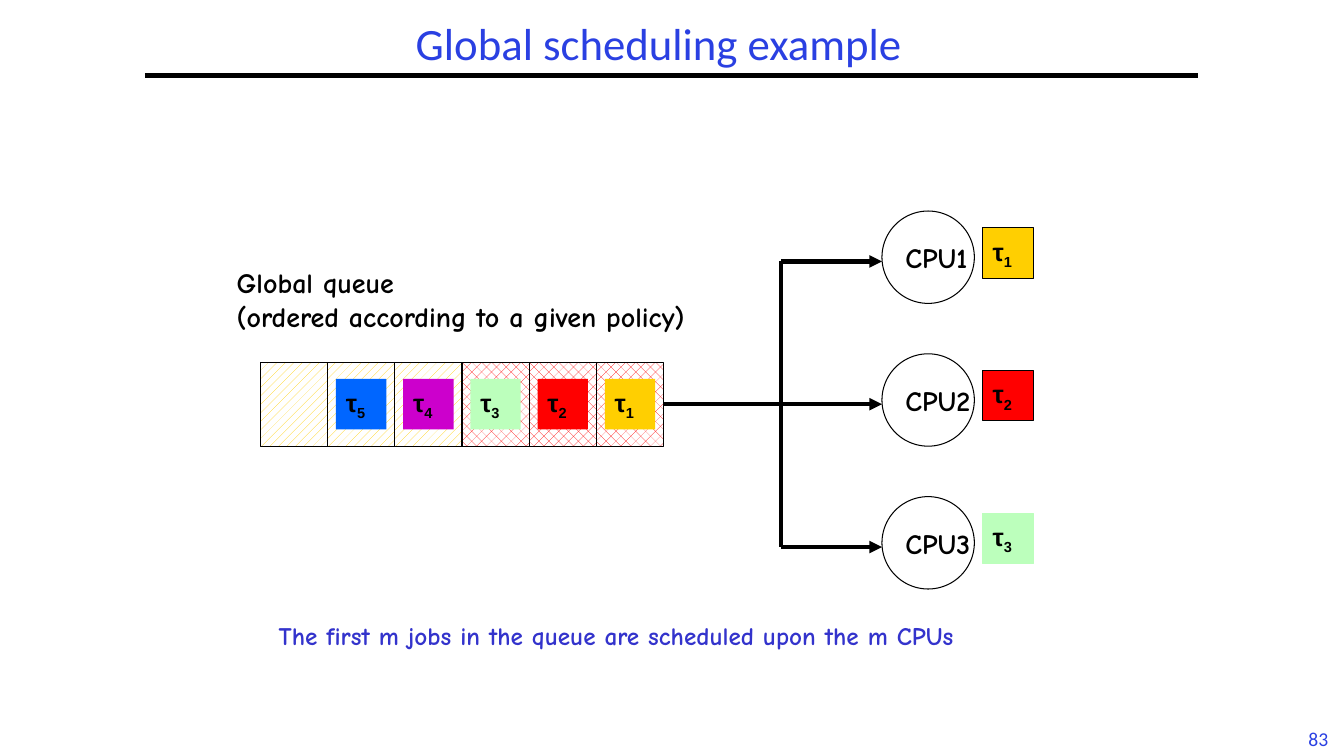
from lxml.etree import SubElement
from pptx import Presentation
from pptx.dml.color import RGBColor
from pptx.enum.dml import MSO_PATTERN
from pptx.enum.shapes import MSO_CONNECTOR, MSO_SHAPE
from pptx.enum.text import MSO_ANCHOR, PP_ALIGN
from pptx.oxml.ns import qn
from pptx.util import Emu, Pt

EMU_PER_PX = 9525
BLACK, WHITE, TITLE_BLUE, NOTE_BLUE = "000000", "FFFFFF", "2A40E2", "3333CC"
RED, YELLOW, GREEN = "FF0000", "FFCF01", "BCFFBC"
TASK_COLORS = {1: YELLOW, 2: RED, 3: GREEN, 4: "CC00CC", 5: "0066FF"}
QUEUE = [None, 5, 4, 3, 2, 1]
CPUS = [("CPU1", 1, BLACK), ("CPU2", 2, BLACK), ("CPU3", 3, GREEN)]
TASK_SIZE = 48


def px(length):
    """Turn pixels into EMU."""
    return Emu(length * EMU_PER_PX)


def color(hex_string):
    """Turn a hex string into a colour."""
    return RGBColor.from_string(hex_string)


def add_run(paragraph, words, font, size, ink, bold=False):
    """Add one formatted run and return it."""
    run = paragraph.add_run()
    run.text = words
    run.font.name = font
    run.font.size = Pt(size)
    run.font.bold = bold
    run.font.color.rgb = color(ink)
    return run


def add_label(slide, box, lines, font, size, ink, bold=False, wrap=True,
              align=PP_ALIGN.LEFT, anchor=MSO_ANCHOR.TOP, spacing=None):
    """Write lines of text in a box, one paragraph each."""
    frame = slide.shapes.add_textbox(*map(px, box)).text_frame
    frame.word_wrap = wrap
    frame.vertical_anchor = anchor
    for index, words in enumerate(lines):
        paragraph = frame.add_paragraph() if index else frame.paragraphs[0]
        paragraph.alignment = align
        paragraph.line_spacing = spacing
        add_run(paragraph, words, font, size, ink, bold)


def add_block(slide, preset, box, fill, edge=None):
    """Draw a filled shape with an optional thin edge."""
    block = slide.shapes.add_shape(preset, *map(px, box))
    block.shadow.inherit = False
    block.fill.solid()
    block.fill.fore_color.rgb = color(fill)
    if edge:
        block.line.color.rgb = color(edge)
        block.line.width = Pt(0.75)
    else:
        block.line.fill.background()
    return block


def inner_paragraph(block):
    """Return the left-aligned, vertically centred paragraph of a shape."""
    frame = block.text_frame
    frame.word_wrap = False
    frame.vertical_anchor = MSO_ANCHOR.MIDDLE
    paragraph = frame.paragraphs[0]
    paragraph.alignment = PP_ALIGN.LEFT
    return paragraph


def add_line(slide, start, end, arrow=False):
    """Draw a thick black line, with an arrowhead at its end if asked."""
    line = slide.shapes.add_connector(MSO_CONNECTOR.STRAIGHT, *map(px, start + end))
    line.line.color.rgb = color(BLACK)
    line.line.width = Pt(3)
    if arrow:
        SubElement(line.line._get_or_add_ln(), qn("a:tailEnd"), type="triangle")
    SubElement(line._element.spPr, qn("a:effectLst"))


def add_task(slide, left, top, number, edge=None):
    """Draw the square of a task with its subscripted name."""
    square = add_block(slide, MSO_SHAPE.RECTANGLE, (left, top, TASK_SIZE, TASK_SIZE),
                       TASK_COLORS[number], edge)
    paragraph = inner_paragraph(square)
    paragraph.space_before = Pt(3.6)
    add_run(paragraph, "τ", "Arial", 18, BLACK, True)
    subscript = add_run(paragraph, str(number), "Arial", 18, BLACK, True)
    subscript._r.get_or_add_rPr().set("baseline", "-25000")


def add_header(slide, left, top, width, height):
    """Place the title and the rule beneath it."""
    add_label(slide, (left + 110, top, width - 244, height), ["Global scheduling example"],
              "Calibri", 32, TITLE_BLUE, align=PP_ALIGN.CENTER,
              anchor=MSO_ANCHOR.MIDDLE, spacing=0.9)
    rule_y = top + 88
    add_line(slide, (left, rule_y), (left + width, rule_y))


def add_queue(slide, left, top, width, height):
    """Place the global queue, its cells and waiting tasks."""
    add_label(slide, (left - 32, top - 97, 454, 107),
              ["Global queue", "(ordered according to a given policy)"],
              "Comic Neue", 20, BLACK, True)
    cell_width = width // len(QUEUE)
    for index, task in enumerate(QUEUE):
        cell_left = left + index * cell_width
        cell = add_block(slide, MSO_SHAPE.RECTANGLE, (cell_left, top, cell_width, height),
                         WHITE, BLACK)
        scheduled = task is not None and task <= len(CPUS)
        cell.fill.patterned()
        cell.fill.pattern = MSO_PATTERN.PERCENT_30 if scheduled else MSO_PATTERN.PERCENT_20
        cell.fill.fore_color.rgb = color(RED if scheduled else YELLOW)
        cell.fill.back_color.rgb = color(WHITE)
        if task:
            add_task(slide, cell_left + (cell_width - TASK_SIZE) // 2,
                     top + (height - TASK_SIZE) // 2, task)


def add_cpus(slide, left, top, step, diameter):
    """Place the column of CPUs, each with its running task."""
    for index, (name, task, edge) in enumerate(CPUS):
        cpu_top = top + index * step
        cpu = add_block(slide, MSO_SHAPE.OVAL, (left, cpu_top, diameter, diameter),
                        WHITE, BLACK)
        add_run(inner_paragraph(cpu), name, "Comic Neue", 20, BLACK, True)
        add_task(slide, left + diameter + 8, cpu_top + 16, task, edge)


def add_dispatch(slide, left, top, width, step):
    """Place the lines that lead from the queue to the CPUs."""
    trunk, right = left + 112, left + width
    middle, bottom = top + step, top + 2 * step
    add_line(slide, (left, middle), (right, middle), arrow=True)
    for branch in (top, bottom):
        add_line(slide, (trunk, branch), (right, branch), arrow=True)
    add_line(slide, (trunk, top), (trunk, bottom))


def main():
    """Build and save the slide."""
    deck = Presentation()
    deck.slide_width, deck.slide_height = px(1280), px(720)
    slide = deck.slides.add_slide(deck.slide_layouts[6])
    add_header(slide, 138, -16, 1003, 120)
    add_cpus(slide, 840, 201, 136, 88)
    add_dispatch(slide, 632, 249, 208, 136)
    add_queue(slide, 248, 345, 384, 80)
    add_label(slide, (256, 586, 768, 38),
              ["The first m jobs in the queue are scheduled upon the m CPUs"],
              "Comic Neue", 18, NOTE_BLUE, True)
    add_label(slide, (1235, 688, 41, 32), ["83"], "Calibri", 14, TITLE_BLUE,
              wrap=False, align=PP_ALIGN.CENTER)
    deck.save("out.pptx")


if __name__ == "__main__":
    main()
